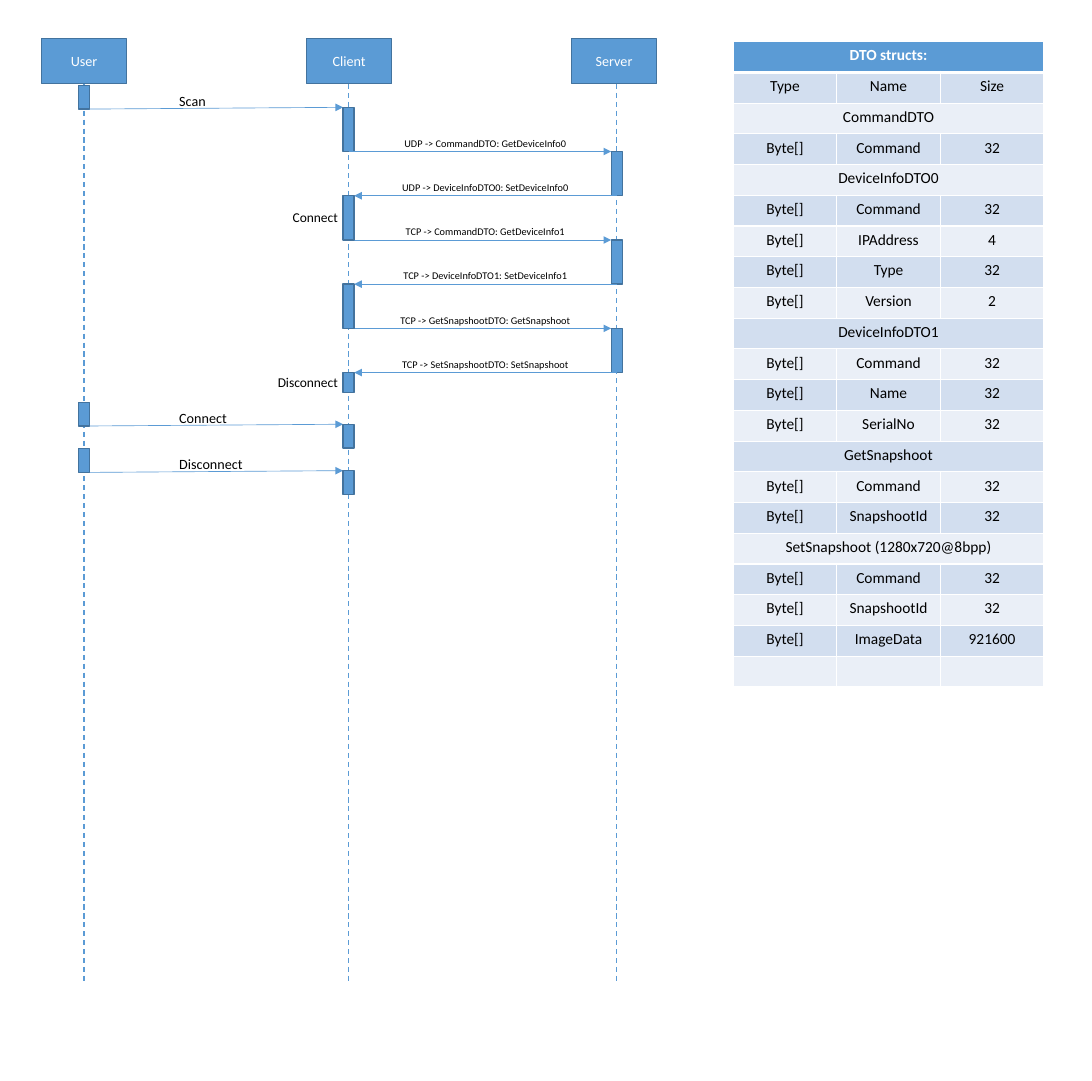
from dataclasses import dataclass

from lxml import etree
from pptx import Presentation
from pptx.dml.color import RGBColor
from pptx.enum.dml import MSO_LINE
from pptx.enum.shapes import MSO_CONNECTOR, MSO_SHAPE
from pptx.enum.text import MSO_ANCHOR, MSO_AUTO_SIZE, PP_ALIGN
from pptx.oxml.ns import qn
from pptx.util import Inches, Pt

DASH = MSO_LINE.DASH
STRAIGHT = MSO_CONNECTOR.STRAIGHT
RECTANGLE = MSO_SHAPE.RECTANGLE
MIDDLE = MSO_ANCHOR.MIDDLE
FIT_TEXT = MSO_AUTO_SIZE.SHAPE_TO_FIT_TEXT
LEFT, CENTER, RIGHT = PP_ALIGN.LEFT, PP_ALIGN.CENTER, PP_ALIGN.RIGHT

BLUE, EDGE, WHITE, BLACK = "5B9BD5", "43739E", "FFFFFF", "000000"
BANDS = ("EAEFF7", "D2DEEF")

ACTORS = ("User", "Client", "Server")
LANES = (3.83, 27.67, 51.83)
HEADER_WIDTH, HEADER_HEIGHT, HEADER_STEP = 7.67, 1.02, 23.88
LIFELINE_END = 21.38
FIRST_MESSAGE = 2.55
MESSAGES = (
    "UDP -> CommandDTO: GetDeviceInfo0",
    "UDP -> DeviceInfoDTO0: SetDeviceInfo0",
    "TCP -> CommandDTO: GetDeviceInfo1",
    "TCP -> DeviceInfoDTO1: SetDeviceInfo1",
    "TCP -> GetSnapshootDTO: GetSnapshoot",
    "TCP -> SetSnapshootDTO: SetSnapshoot",
)
USER_CALLS = (("Scan", 1.55, 1), ("Connect", 8.72, 0.54), ("Disconnect", 9.77, 0.54))
CLIENT_STATES = (("Connect", 3.74), ("Disconnect", 7.49))
CLIENT_BARS = ((3.55, 1), (5.55, 1), (7.55, 0.46))

STRUCTS = {
    "CommandDTO": (("Command", "32"),),
    "DeviceInfoDTO0": (("Command", "32"), ("IPAddress", "4"), ("Type", "32"), ("Version", "2")),
    "DeviceInfoDTO1": (("Command", "32"), ("Name", "32"), ("SerialNo", "32")),
    "GetSnapshoot": (("Command", "32"), ("SnapshootId", "32")),
    "SetSnapshoot (1280x720@8bpp)": (
        ("Command", "32"), ("SnapshootId", "32"), ("ImageData", "921600")),
}


@dataclass
class Grid:
    left: float
    top: float
    column: float
    row: float

    def point(self, column, row):
        return Inches(self.left + column * self.column), Inches(self.top + row * self.row)

    def area(self, column, row, columns, rows):
        return *self.point(column, row), Inches(columns * self.column), Inches(rows * self.row)


def color(value):
    return RGBColor.from_string(value)


def write(frame, text, size=11, fill=BLACK, bold=False, align=CENTER):
    para = frame.paragraphs[0]
    para.alignment = align
    if text:
        span = para.add_run()
        span.text = text
        span.font.name = "Calibri"
        span.font.size = Pt(size)
        span.font.bold = bold
        span.font.color.rgb = color(fill)
    else:
        etree.SubElement(para._p, qn("a:endParaRPr"), sz=str(size * 100))


def add_block(page, area, text=None):
    block = page.shapes.add_shape(RECTANGLE, *area)
    block.shadow.inherit = False
    block.fill.solid()
    block.fill.fore_color.rgb = color(BLUE)
    block.line.color.rgb = color(EDGE)
    block.line.width = Pt(1)
    if text:
        block.text_frame.vertical_anchor = MIDDLE
        write(block.text_frame, text, fill=WHITE)


def add_line(page, start, end, width=0.5, dash=None, arrow=True):
    line = page.shapes.add_connector(STRAIGHT, *start, *end)
    line.line.color.rgb = color(BLUE)
    line.line.width = Pt(width)
    if dash:
        line.line.dash_style = dash
    if arrow:
        etree.SubElement(line.line._get_or_add_ln(), qn("a:tailEnd"), type="triangle")
    etree.SubElement(line._element.spPr, qn("a:effectLst"))


def add_label(page, area, text, **style):
    frame = page.shapes.add_textbox(*area).text_frame
    frame.word_wrap = False
    frame.auto_size = FIT_TEXT
    write(frame, text, **style)


def label_width(text):
    return 2.6 + 0.48 * len(text)


def add_bar(page, grid, lane, row, rows):
    add_block(page, grid.area(lane - 0.5, row, 1, rows))


def add_lanes(page, grid):
    for index, (actor, lane) in enumerate(zip(ACTORS, LANES)):
        header = grid.area(index * HEADER_STEP, 0, HEADER_WIDTH, HEADER_HEIGHT)
        add_block(page, header, actor)
        add_line(page, grid.point(lane, HEADER_HEIGHT), grid.point(lane, LIFELINE_END),
                 width=1, dash=DASH, arrow=False)


def add_user_calls(page, grid):
    user, client, _ = LANES
    for text, row, rows in USER_CALLS:
        add_line(page, grid.point(user, row + 0.04), grid.point(client - 0.5, row))
        add_bar(page, grid, user, row - 0.5, 0.54)
        add_bar(page, grid, client, row, rows)
        add_label(page, grid.area(11.58, row - 0.45, label_width(text), 0.6), text, align=LEFT)


def add_messages(page, grid):
    _, client, server = LANES
    for index, text in enumerate(MESSAGES):
        row = FIRST_MESSAGE + index
        if index % 2:
            start, end = server, client + 0.5
        else:
            start, end = client, server - 0.5
        add_line(page, grid.point(start, row), grid.point(end, row))
        if start == client:
            add_bar(page, grid, server, row, 1)
        add_label(page, grid.area(31.5, row - 0.43, 17, 0.5), text, size=8)
    for row, rows in CLIENT_BARS:
        add_bar(page, grid, client, row, rows)
    for text, row in CLIENT_STATES:
        width = label_width(text)
        add_label(page, grid.area(client - 0.15 - width, row, width, 0.6), text,
                  size=10.5, align=RIGHT)


def add_borders(cell, bottom):
    properties = cell._tc.get_or_add_tcPr()
    for index, side in enumerate(("lnL", "lnR", "lnT", "lnB")):
        width = bottom if side == "lnB" else 1
        border = etree.Element(qn("a:" + side), w=str(Pt(width)))
        paint = etree.SubElement(border, qn("a:solidFill"))
        etree.SubElement(paint, qn("a:srgbClr"), val=WHITE)
        properties.insert(index, border)


def struct_rows():
    rows = [("DTO structs:",), ("Type", "Name", "Size")]
    for struct, fields in STRUCTS.items():
        rows.append((struct,))
        rows.extend(("Byte[]", *field) for field in fields)
    return rows + [("", "", "")]


def add_structs(page, grid):
    rows = struct_rows()
    table = page.shapes.add_table(len(rows), 3, *grid.area(0, 0, 3, len(rows))).table
    for index, values in enumerate(rows):
        heading = index == 0
        table.rows[index].height = Inches(grid.row)
        cells = [table.cell(index, column) for column in range(3)]
        if len(values) == 1:
            cells[0].merge(cells[2])
            values = (*values, "", "")
        for cell, text in zip(cells, values):
            cell.fill.solid()
            cell.fill.fore_color.rgb = color(BLUE if heading else BANDS[index % 2])
            add_borders(cell, bottom=3 if heading else 1)
            write(cell.text_frame, text, size=12, bold=heading, fill=WHITE if heading else BLACK)


def main():
    deck = Presentation()
    deck.slide_width, deck.slide_height = Inches(11.81), Inches(11.69)
    page = deck.slides.add_slide(deck.slide_layouts[6])
    diagram = Grid(left=0.45, top=0.42, column=0.12, row=0.478)
    add_lanes(page, diagram)
    add_user_calls(page, diagram)
    add_messages(page, diagram)
    add_structs(page, Grid(left=7.93, top=0.45, column=1.12, row=0.3325))
    deck.save("out.pptx")


main()
